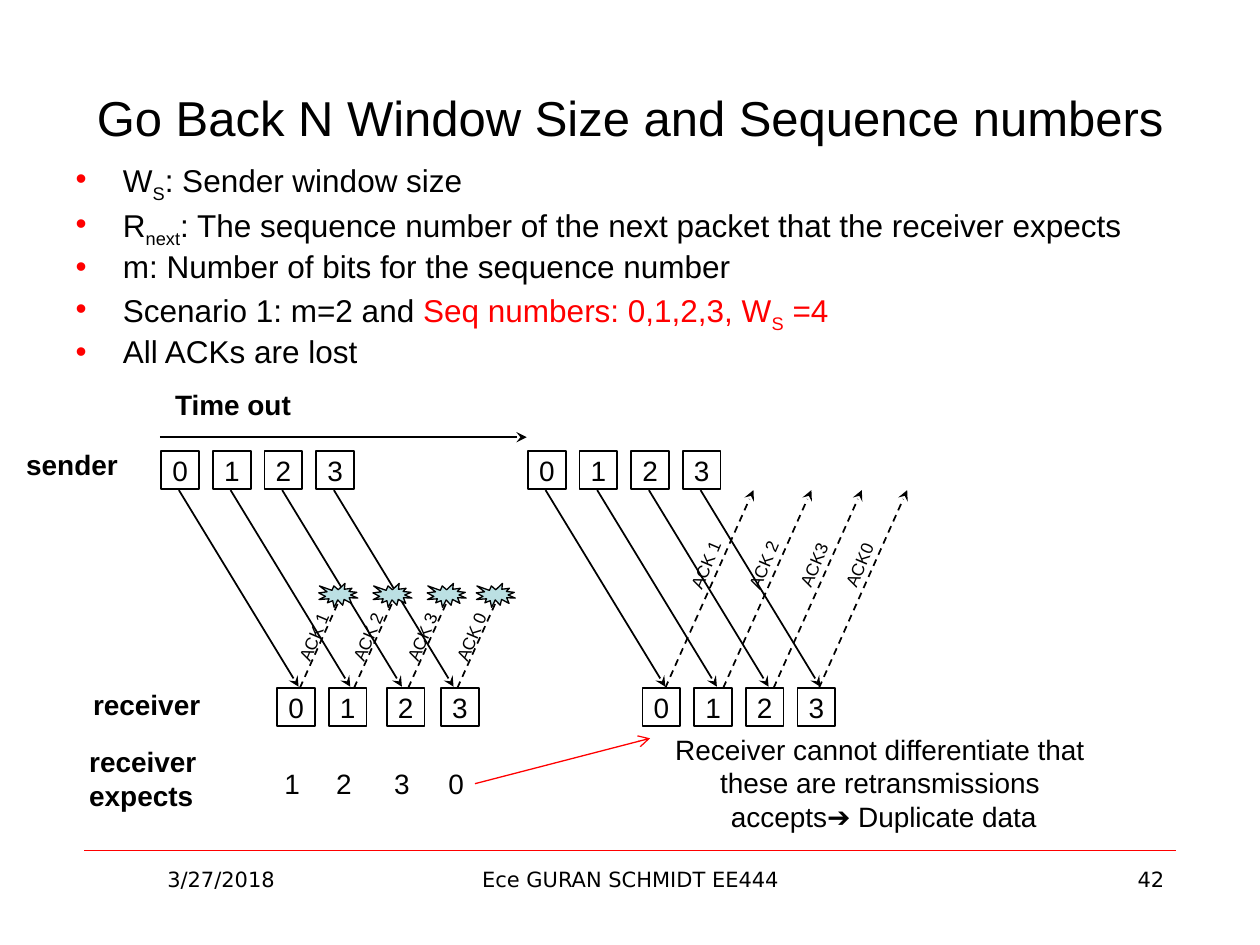
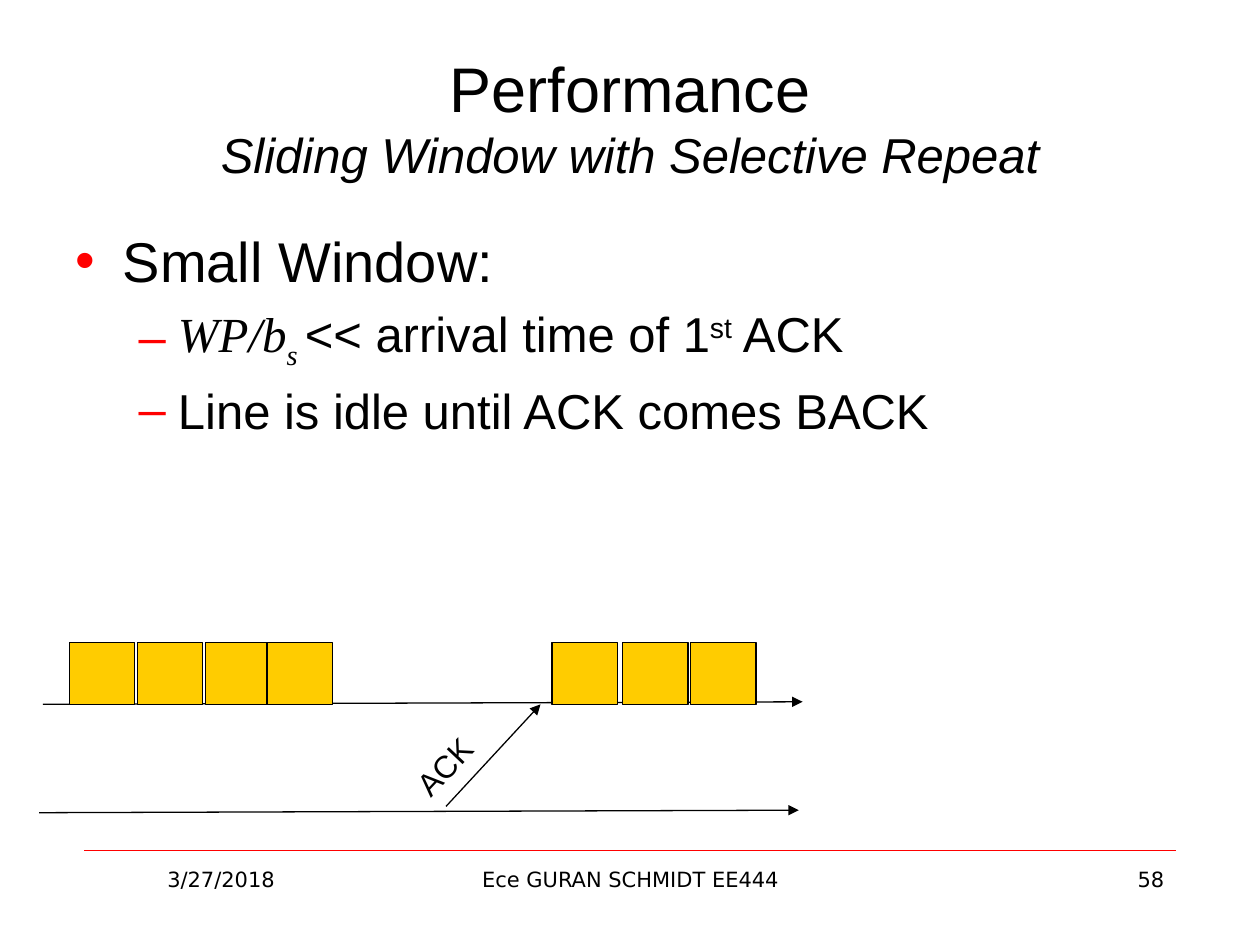
from lxml.etree import SubElement
from pptx import Presentation
from pptx.dml.color import RGBColor
from pptx.enum.dml import MSO_LINE
from pptx.enum.shapes import MSO_CONNECTOR, MSO_SHAPE
from pptx.enum.text import MSO_ANCHOR, MSO_AUTO_SIZE, PP_ALIGN
from pptx.oxml.ns import qn
from pptx.util import Inches, Pt

BLACK, WHITE, RED = "000000", "FFFFFF", "FF0000"
SEAL_BLUE, PACKET_GOLD = "BBE0E3", "FFCC00"
BASE_FONT = {"name": "Arial", "size": Pt(16)}
FOOTER_FONT = {"name": "DejaVu Sans", "size": Pt(12)}
TITLE_FONT = {"size": Pt(28)}
BOLD = {"bold": True}
SUBSCRIPT, SUPERSCRIPT = -25000, 30000
PACKET_SIZE = 0.3
PACKET_STEP = 0.41
SENDER_TOP, RECEIVER_TOP = 3.58, 5.46
SENT_BOTTOM = 3.89


def color_of(hex_string):
    return RGBColor.from_string(hex_string)


def set_attributes(target, values):
    for name, value in values.items():
        setattr(target, name, value)


def add_run(paragraph, text, color=BLACK, baseline=None, **font_values):
    run = paragraph.add_run()
    run.text = text
    set_attributes(run.font, {**BASE_FONT, **font_values})
    run.font.color.rgb = color_of(color)
    if baseline:
        run._r.get_or_add_rPr().set("baseline", str(baseline))


def add_line_break(paragraph, size):
    paragraph.add_line_break()
    SubElement(paragraph._p[-1], qn("a:rPr"), sz=str(size * 100))


def write_lines(text_frame, lines, align, **font_values):
    for index, line in enumerate(lines):
        paragraph = text_frame.paragraphs[0] if index == 0 else text_frame.add_paragraph()
        paragraph.alignment = align
        add_run(paragraph, line, **font_values)


def add_label(slide, left, top, width, height, lines, align=PP_ALIGN.LEFT,
              wrap=False, rotation=0, **font_values):
    box = slide.shapes.add_textbox(Inches(left), Inches(top), Inches(width), Inches(height))
    box.rotation = rotation
    set_attributes(box.text_frame, {"word_wrap": wrap, "auto_size": MSO_AUTO_SIZE.NONE})
    write_lines(box.text_frame, lines, align, **font_values)


def add_filled_shape(slide, kind, left, top, width, height, fill, line_width=None, lines=()):
    shape = slide.shapes.add_shape(kind, Inches(left), Inches(top), Inches(width), Inches(height))
    shape.shadow.inherit = False
    shape.fill.solid()
    shape.fill.fore_color.rgb = color_of(fill)
    if line_width:
        shape.line.color.rgb = color_of(BLACK)
        shape.line.width = Pt(line_width)
    else:
        shape.line.fill.background()
    set_attributes(shape.text_frame, {"word_wrap": False, "vertical_anchor": MSO_ANCHOR.MIDDLE})
    write_lines(shape.text_frame, lines, PP_ALIGN.CENTER)


def add_line(slide, start, end, head=None, color=BLACK, width=1.0, dashed=False):
    points = [Inches(value) for value in (*start, *end)]
    connector = slide.shapes.add_connector(MSO_CONNECTOR.STRAIGHT, *points)
    connector.line.color.rgb = color_of(color)
    connector.line.width = Pt(width)
    if dashed:
        connector.line.dash_style = MSO_LINE.DASH
    if head:
        SubElement(connector.line._get_or_add_ln(), qn("a:tailEnd"), type=head)
    SubElement(connector._element.spPr, qn("a:effectLst"))


def place(shape, left, top, width, height):
    set_attributes(shape, {"left": Inches(left), "top": Inches(top),
                           "width": Inches(width), "height": Inches(height)})
    shape.text_frame.auto_size = MSO_AUTO_SIZE.NONE


def fill_title(slide):
    title = slide.shapes.title
    place(title, 0.5, 0.3, 9, 1.25)
    title.text_frame.vertical_anchor = MSO_ANCHOR.MIDDLE
    paragraph = title.text_frame.paragraphs[0]
    paragraph.alignment = PP_ALIGN.CENTER
    return paragraph


def fill_bullets(slide, position, items, line_spacing=None):
    body = slide.placeholders[1]
    place(body, *position)
    for index, (level, runs) in enumerate(items):
        paragraph = body.text_frame.paragraphs[0] if index == 0 else body.text_frame.add_paragraph()
        paragraph.level = level
        bullet_color = SubElement(paragraph._p.get_or_add_pPr(), qn("a:buClr"))
        SubElement(bullet_color, qn("a:srgbClr"), val=RED)
        paragraph.line_spacing = line_spacing
        if index == 0:
            paragraph.space_before = Pt(0)
        for text, values in runs:
            add_run(paragraph, text, **values)


def add_lecture_slide(presentation, number):
    slide = presentation.slides.add_slide(presentation.slide_layouts[1])
    add_line(slide, (0.67, 6.75), (9.33, 6.75), color=RED, width=0.25)
    for left, width, text, align in (
        (0.67, 2.17, "3/27/2018", PP_ALIGN.CENTER),
        (3.42, 3.17, "Ece GURAN SCHMIDT EE444", PP_ALIGN.CENTER),
        (7.17, 2.17, str(number), PP_ALIGN.RIGHT),
    ):
        add_label(slide, left, 6.83, width, 0.52, [text], align, wrap=True, **FOOTER_FONT)
    return slide


def add_packets(slide, lefts, top, numbers="0123", line_width=1):
    for left, number in zip(lefts, numbers):
        add_filled_shape(slide, MSO_SHAPE.RECTANGLE, left, top, PACKET_SIZE, PACKET_SIZE,
                         WHITE, line_width, [number])


def packet_row(left):
    return [left + index * PACKET_STEP for index in range(4)]


def add_transmissions(slide, sender_lefts):
    for left in sender_lefts:
        start = left + 0.14
        add_line(slide, (start, SENT_BOTTOM), (start + 0.95, 5.45), "stealth")


def add_acknowledgements(slide, starts, labels, rise, label_offset, label_middle):
    run_x, end_y = rise
    for start, label in zip(starts, labels):
        add_line(slide, (start, RECEIVER_TOP), (start + run_x, end_y), "stealth", dashed=True)
        add_label(slide, start + label_offset - 0.3, label_middle - 0.13, 0.6, 0.27, [label],
                  PP_ALIGN.CENTER, rotation=293, size=Pt(10))


def build_go_back_n(presentation):
    slide = add_lecture_slide(presentation, 42)
    add_run(fill_title(slide), "Go Back N Window Size and Sequence numbers", **TITLE_FONT)
    plain = {"size": Pt(18)}
    lowered = {**plain, "baseline": SUBSCRIPT}
    red = {**plain, "color": RED}
    fill_bullets(slide, (0.5, 1.23, 8.83, 1.46), [
        (0, [("W", plain), ("S", lowered), (": Sender window size", plain)]),
        (0, [("R", plain), ("next", lowered),
             (": The sequence number of the next packet that the receiver expects", plain)]),
        (0, [("m: Number of bits for the sequence number", plain)]),
        (0, [("Scenario 1: m=2 and ", plain), ("Seq numbers: 0,1,2,3, W", red),
             ("S", {**lowered, "color": RED}), (" =4", red)]),
        (0, [("All ACKs are lost", plain)]),
    ], line_spacing=0.9)

    first_sent, second_sent = packet_row(1.28), packet_row(4.19)
    first_received = [2.2, 2.61, 3.07, 3.5]
    add_packets(slide, first_sent, SENDER_TOP)
    add_packets(slide, second_sent, SENDER_TOP)
    add_packets(slide, first_received, RECEIVER_TOP)
    add_packets(slide, packet_row(5.1), RECEIVER_TOP)
    add_packets(slide, [left - 0.03 for left in first_received], 6.07, "1230", None)
    add_transmissions(slide, first_sent)
    add_transmissions(slide, second_sent)

    lost_starts = [2.38, 2.81, 3.24, 3.63]
    add_acknowledgements(slide, lost_starts, ["ACK 1", "ACK 2", "ACK 3", "ACK 0"],
                         (0.35, 4.68), 0.11, 5.05)
    for start in lost_starts:
        add_filled_shape(slide, MSO_SHAPE.EXPLOSION1, start + 0.15, 4.63, 0.31, 0.19,
                         SEAL_BLUE, 0.75)
    add_acknowledgements(slide, [5.28, 5.74, 6.14, 6.5], ["ACK 1", "ACK 2", "ACK3", "ACK0"],
                         (0.7, SENT_BOTTOM), 0.32, 4.48)

    add_line(slide, (1.27, 3.47), (4.18, 3.47), "stealth")
    add_label(slide, 1.28, 3.03, 1.14, 0.37, ["Time out"], PP_ALIGN.CENTER, **BOLD)
    add_label(slide, 0.11, 3.5, 0.93, 0.37, ["sender"], **BOLD)
    add_label(slide, 0.64, 5.41, 1.05, 0.37, ["receiver"], **BOLD)
    add_label(slide, 0.61, 5.86, 1.13, 0.64, ["receiver", "expects"], **BOLD)
    add_line(slide, (3.77, 6.22), (5.16, 5.86), "arrow", RED, 0.75)
    add_filled_shape(slide, MSO_SHAPE.RECTANGLE, 5.35, 5.78, 3.33, 0.86, WHITE, lines=[
        "Receiver cannot differentiate that ",
        "these are retransmissions ",
        "accepts➔ Duplicate data",
    ])


def build_performance(presentation):
    slide = add_lecture_slide(presentation, 58)
    title = fill_title(slide)
    add_run(title, "Performance", size=Pt(36))
    add_line_break(title, 36)
    add_run(title, "Sliding Window with Selective Repeat", italic=True, **TITLE_FONT)

    add_line(slide, (0.34, 5.59), (6.37, 5.57), "triangle", width=0.75)
    for left in (0.55, 1.09, 1.63, 2.12, 4.38, 4.94, 5.48):
        add_filled_shape(slide, MSO_SHAPE.RECTANGLE, left, 5.1, 0.52, 0.49, PACKET_GOLD, 0.75)
    add_line(slide, (0.31, 6.45), (6.34, 6.43), "triangle", width=0.75)
    add_line(slide, (3.54, 6.4), (4.29, 5.59), "triangle", width=0.75)
    add_label(slide, 3.09, 5.7, 1.21, 0.4, ["ACK"], wrap=True, rotation=313.3, size=Pt(18))

    plain = {"size": Pt(28)}
    formula = {**plain, "name": "Times New Roman", "italic": True}
    fill_bullets(slide, (0.5, 1.75, 9, 4.95), [
        (0, [("Small Window:", {"size": Pt(32)})]),
        (1, [("WP/b", formula), ("s ", {**formula, "baseline": SUBSCRIPT}),
             ("<< arrival time of 1", plain), ("st", {**plain, "baseline": SUPERSCRIPT}),
             (" ACK", plain)]),
        (1, [("Line is idle until ACK comes BACK", plain)]),
    ])


def main():
    presentation = Presentation()
    set_attributes(presentation, {"slide_width": Inches(10), "slide_height": Inches(7.5)})
    build_go_back_n(presentation)
    build_performance(presentation)
    presentation.save("out.pptx")


if __name__ == "__main__":
    main()
